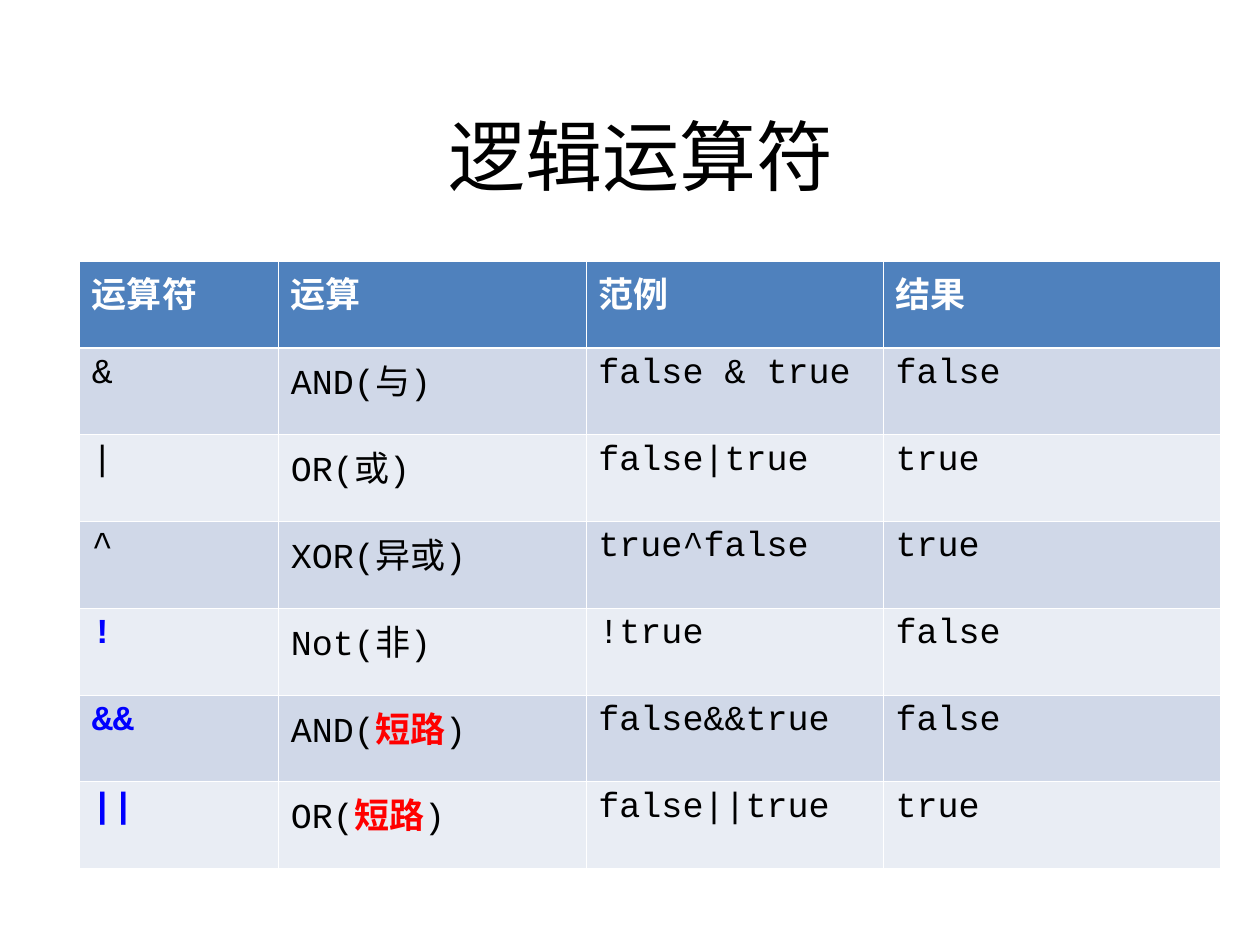
"""Build a slide with a table of logical operators."""
from lxml import etree
from pptx import Presentation, util as u
from pptx.dml.color import RGBColor
from pptx.enum import text
from pptx.oxml import ns

COLORS = {"head": "4F81BD", "odd": "D0D8E8", "even": "E9EDF4", "white": "FFFFFF",
          "black": "000000", "blue": "0000FF", "red": "FF0000"}
WIDTHS = [4.01, 6.2, 5.99, 6.81]
ROW_HEIGHT = 1.75
ROWS = [
    ["运算符", "运算", "范例", "结果"],
    ["&", "AND(与)", "false & true", "false"],
    ["|", "OR(或)", "false|true", "true"],
    ["^", "XOR(异或)", "true^false", "true"],
    ["!", "Not(非)", "!true", "false"],
    ["&&", "AND(短路)", "false&&true", "false"],
    ["||", "OR(短路)", "false||true", "true"],
]
EMPHASIS = {"短路": "red", "!": "blue", "&&": "blue", "||": "blue"}


def add_run(p, content, color, **fmt):
    r = p.add_run()
    r.text = content
    for name, value in {"name": "Courier New", **fmt}.items():
        setattr(r.font, name, value)
    r.font.color.rgb = RGBColor.from_string(COLORS[color])


def add_border(cell, side, points):
    ln = etree.Element(ns.qn(f"a:ln{side}"), w=str(u.Pt(points)))
    fill = etree.SubElement(ln, ns.qn("a:solidFill"))
    etree.SubElement(fill, ns.qn("a:srgbClr"), val=COLORS["white"])
    cell._tc.get_or_add_tcPr().append(ln)


prs = Presentation()
prs.slide_width, prs.slide_height = u.Cm(25.4), u.Cm(19.05)
s = prs.slides.add_slide(prs.slide_layouts[5])

title = s.shapes.title
box = {"left": 1.5, "top": 1.93, "width": 22.86, "height": 2.39}
for name, value in box.items():
    setattr(title, name, u.Cm(value))
tf = title.text_frame
tf.vertical_anchor = text.MSO_ANCHOR.MIDDLE
p = tf.paragraphs[0]
p.alignment = text.PP_ALIGN.CENTER
add_run(p, "逻辑运算符", "black", size=u.Pt(44))

table = s.shapes.add_table(len(ROWS), len(WIDTHS), u.Cm(1.6), u.Cm(5.26),
                           u.Cm(sum(WIDTHS)), u.Cm(ROW_HEIGHT * len(ROWS))).table
for column, width in zip(table.columns, WIDTHS):
    column.width = u.Cm(width)
for i, row in enumerate(ROWS):
    table.rows[i].height = u.Cm(ROW_HEIGHT)
    band = "head" if i == 0 else "odd" if i % 2 else "even"
    for j, content in enumerate(row):
        cell = table.cell(i, j)
        borders = {"L": 0.45, "R": 0.45, "T": 1.47 if i == 1 else 0.45,
                   "B": 1.47 if i == 0 else 0.45}
        for side, points in borders.items():
            add_border(cell, side, points)
        cell.fill.solid()
        cell.fill.fore_color.rgb = RGBColor.from_string(COLORS[band])
        p = cell.text_frame.paragraphs[0]
        before, mark, after = content.partition("短路")
        for part in filter(None, (before, mark, after)):
            color = EMPHASIS.get(part, "white" if i == 0 else "black")
            add_run(p, part, color, size=u.Pt(20), bold=color != "black")

prs.save("out.pptx")
